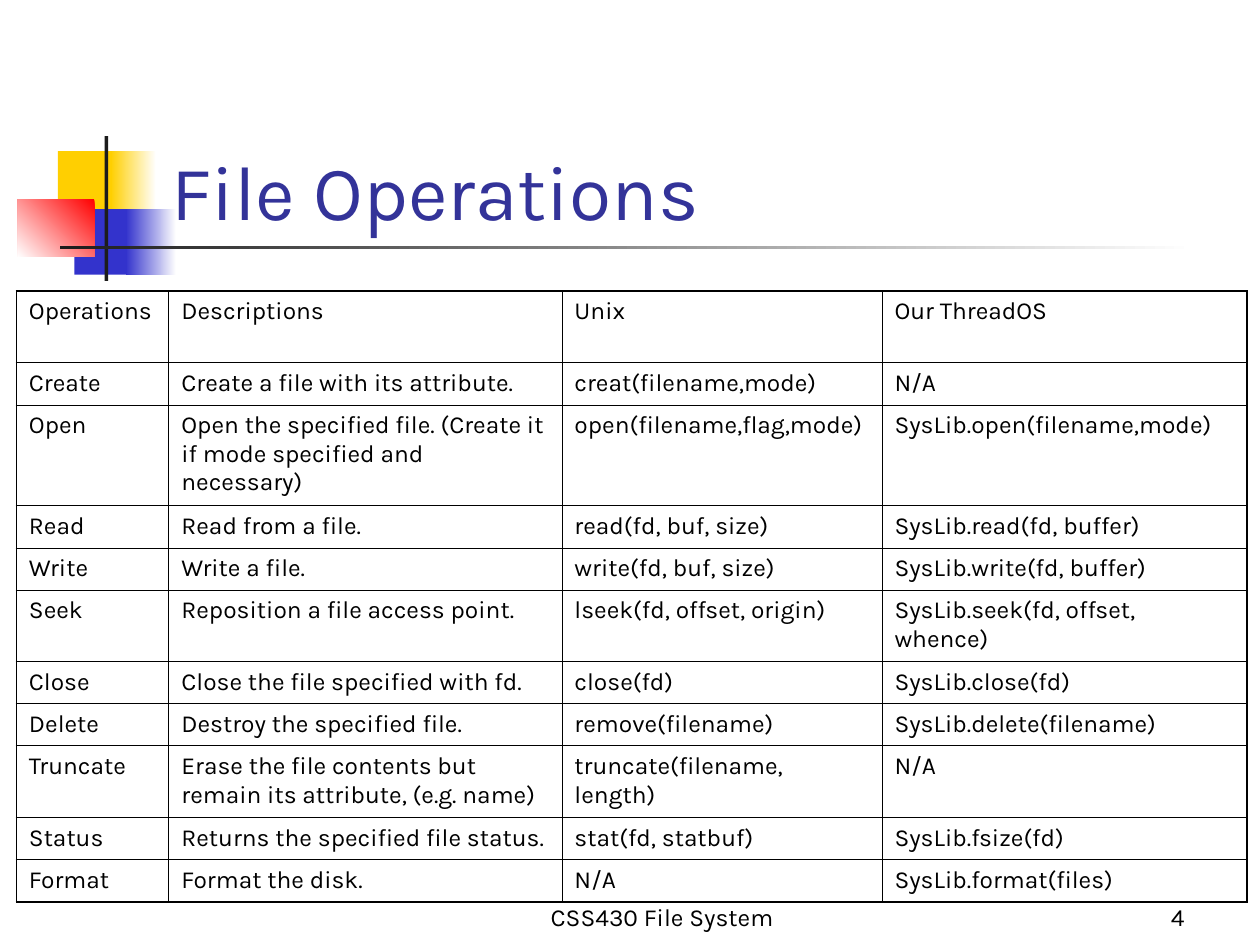
from lxml import etree
from pptx import Presentation
from pptx import util as u
from pptx.dml.color import RGBColor
from pptx.enum import shapes, text
from pptx.oxml.ns import qn

FONT = "Karla"
BLACK, WHITE, DARK = "000000", "FFFFFF", "1C1C1C"
GOLD, BLUE, RED, NAVY = "FFCF01", "3333CC", "FF0000", "333399"
THIN, THICK = 0.45, 1.08

COLS = [1.21, 3.12, 2.54, 2.9]
ROWS = [
    ("Operations", "Descriptions", "Unix", "Our ThreadOS"),
    ("Create", "Create a file with its attribute.", "creat(filename,mode)", "N/A"),
    ("Open", "Open the specified file. (Create it if mode specified and necessary)",
     "open(filename,flag,mode)", "SysLib.open(filename,mode)"),
    ("Read", "Read from a file.", "read(fd, buf, size)", "SysLib.read(fd, buffer)"),
    ("Write", "Write a file.", "write(fd, buf, size)", "SysLib.write(fd, buffer)"),
    ("Seek", "Reposition a file access point.", "lseek(fd, offset, origin)",
     "SysLib.seek(fd, offset, whence)"),
    ("Close", "Close the file specified with fd.", "close(fd)", "SysLib.close(fd)"),
    ("Delete", "Destroy the specified file.", "remove(filename)", "SysLib.delete(filename)"),
    ("Truncate", "Erase the file contents but remain its attribute, (e.g. name)",
     "truncate(filename, length)", "N/A"),
    ("Status", "Returns the specified file status.", "stat(fd, statbuf)", "SysLib.fsize(fd)"),
    ("Format", "Format the disk.", "N/A", "SysLib.format(files)"),
]
LINES = [2, 1, 3, 1, 1, 2, 1, 1, 2, 1, 1]  # text lines that each row holds
HIGH = {1: 0.33, 2: 0.57, 3: 0.8}


def color(code):
    return RGBColor.from_string(code)


def apply(item, **vals):
    for key, val in vals.items():
        setattr(item, key, val)


def write(frame, words, size=14, code=BLACK, align=text.PP_ALIGN.LEFT):
    para = frame.paragraphs[0]
    para.alignment = align
    run = para.add_run()
    run.text = words
    apply(run.font, name=FONT, size=u.Pt(size))
    run.font.color.rgb = color(code)


def label(slide, box, words, **form):
    frame = slide.shapes.add_textbox(*map(u.Inches, box)).text_frame
    apply(frame, word_wrap=True, vertical_anchor=text.MSO_ANCHOR.BOTTOM)
    write(frame, words, **form)


def block(slide, box, codes, angle=180):
    """Draw a rectangle: one colour is solid, two make a gradient."""
    rect = slide.shapes.add_shape(shapes.MSO_SHAPE.RECTANGLE, *map(u.Inches, box))
    rect.shadow.inherit = False
    rect.line.fill.background()
    if len(codes) == 1:
        rect.fill.solid()
        rect.fill.fore_color.rgb = color(codes[0])
        return
    rect.fill.gradient()
    rect.fill.gradient_angle = angle
    for stop, code, pos in zip(rect.fill.gradient_stops, codes, (0, 1)):
        stop.color.rgb = color(code)
        stop.position = pos


def emblem(slide, left, top):
    parts = [
        ((0.32, 0.12, 0.48, 0.52), [GOLD]),
        ((0.74, 0.12, 0.36, 0.52), [WHITE, GOLD]),
        ((0.45, 0.58, 0.46, 0.52), [BLUE]),
        ((0.86, 0.58, 0.4, 0.52), [WHITE, BLUE]),
        ((0, 0.5, 0.61, 0.46), [RED, WHITE], 225),
        ((0.69, 0, 0.03, 1.15), [DARK]),
        ((0.34, 0.87, 9, 0.03), [WHITE, DARK]),
    ]
    for (x, y, w, h), *look in parts:
        block(slide, (left + x, top + y, w, h), *look)


def border(cell, widths):
    props = cell._tc.get_or_add_tcPr()
    for side, width in widths.items():
        line = etree.SubElement(props, qn(f"a:ln{side}"), w=str(u.Pt(width)))
        fill = etree.SubElement(line, qn("a:solidFill"))
        etree.SubElement(fill, qn("a:srgbClr"), val=BLACK)


def grid(slide, left, top):
    highs = [HIGH[n] for n in LINES]
    box = map(u.Inches, (left, top, sum(COLS), sum(highs)))
    table = slide.shapes.add_table(len(ROWS), len(COLS), *box).table
    apply(table, first_row=False, horz_banding=False)
    for col, wide in zip(table.columns, COLS):
        col.width = u.Inches(wide)
    for row, high in zip(table.rows, highs):
        row.height = u.Inches(high)
    for r, words in enumerate(ROWS):
        for c, word in enumerate(words):
            cell = table.cell(r, c)
            # Heavier lines on the outer edge
            edges = {"L": c == 0, "R": c == len(COLS) - 1,
                     "T": r == 0, "B": r == len(ROWS) - 1}
            border(cell, {s: THICK if out else THIN for s, out in edges.items()})
            cell.fill.background()
            write(cell.text_frame, word)


def main():
    deck = Presentation()
    apply(deck, slide_width=u.Inches(10), slide_height=u.Inches(7.5))
    slide = deck.slides.add_slide(deck.slide_layouts[6])
    # Emblem and rule
    emblem(slide, 0.14, 1.08)
    # Footer and page number, just clear of the table
    foot = 6.94
    label(slide, (3.67, foot, 3.17, 0.5), "CSS430 File System", align=text.PP_ALIGN.CENTER)
    label(slide, (7.42, foot, 2.08, 0.5), "4", align=text.PP_ALIGN.RIGHT)
    # Title
    label(slide, (1.26, 0.67, 8.52, 1.25), "File Operations", size=44, code=NAVY)
    # Table of operations
    grid(slide, 0.13, 2.31)
    deck.save("out.pptx")


if __name__ == "__main__":
    main()
